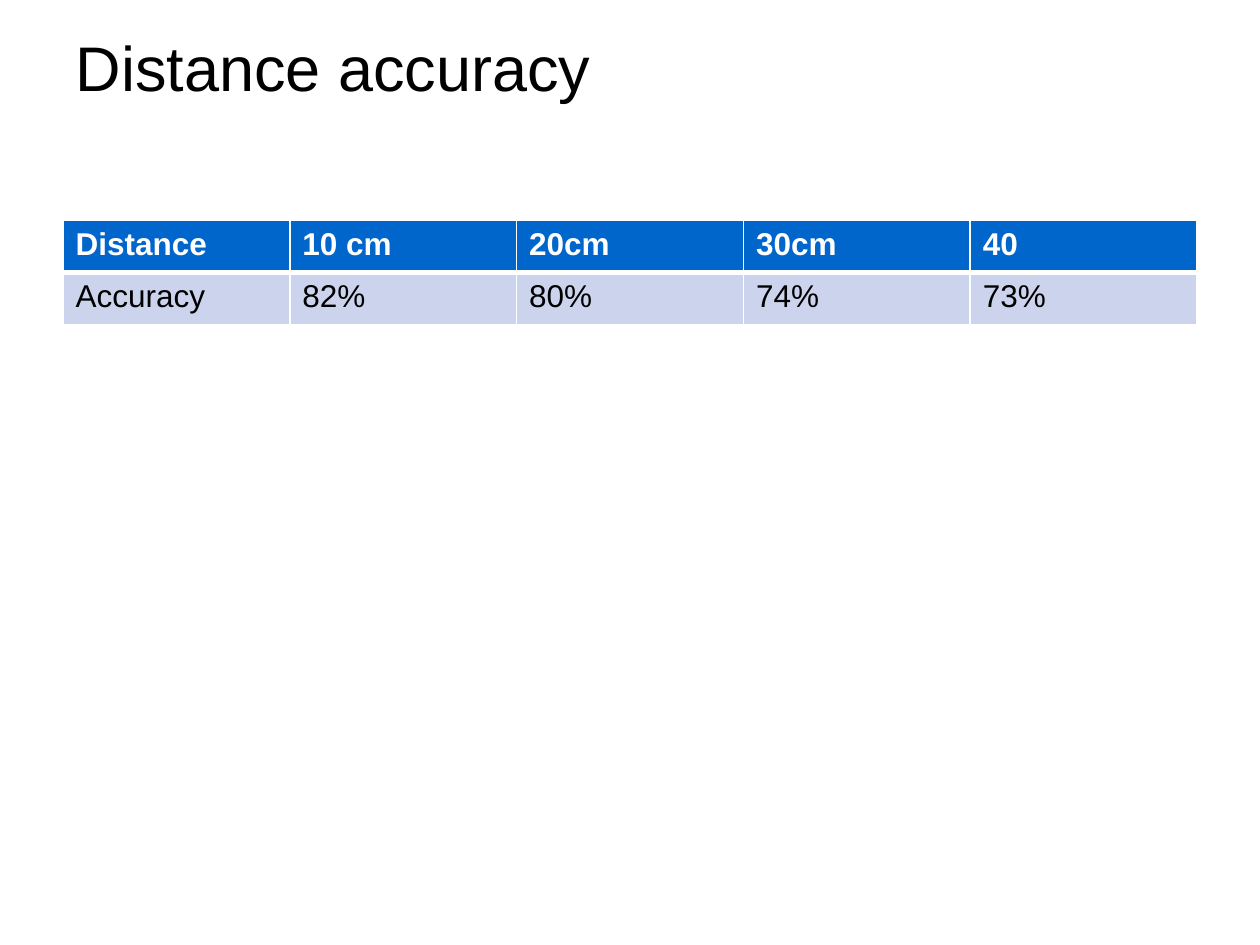
from dataclasses import dataclass

from lxml import etree
from pptx import Presentation
from pptx.dml.color import RGBColor
from pptx.enum.text import MSO_ANCHOR, MSO_AUTO_SIZE, PP_ALIGN
from pptx.oxml.ns import qn
from pptx.util import Inches, Pt

LEFT = PP_ALIGN.LEFT
TOP, MIDDLE = MSO_ANCHOR.TOP, MSO_ANCHOR.MIDDLE
NO_AUTOFIT = MSO_AUTO_SIZE.NONE
TITLE_ONLY = 5
SLIDE_WIDTH, SLIDE_HEIGHT = Inches(10), Inches(7.5)
MARGIN = SLIDE_WIDTH * 0.05
CONTENT_WIDTH = SLIDE_WIDTH - 2 * MARGIN
ROW_HEIGHT = Inches(0.415)
WHITE, BLACK = "FFFFFF", "000000"


@dataclass(frozen=True)
class TableRow:
    values: tuple[str, ...]
    fill: str
    color: str
    bold: bool
    top_border: float
    bottom_border: float


ROWS = (
    TableRow(("Distance", "10 cm", "20cm", "30cm", "40"), "0066CC", WHITE, True, 1, 3),
    TableRow(("Accuracy", "82%", "80%", "74%", "73%"), "CCD3EC", BLACK, False, 3, 1),
)


def rgb(value: str) -> RGBColor:
    return RGBColor.from_string(value)


def write_text(text_frame, text: str, *, size: float, color: str, bold: bool = False) -> None:
    text_frame.text = text
    paragraph = text_frame.paragraphs[0]
    paragraph.alignment = LEFT
    font = paragraph.runs[0].font
    font.name, font.size, font.bold = "Arial", Pt(size), bold
    font.color.rgb = rgb(color)


def add_border(cell, side: str, width: float) -> None:
    properties = cell._tc.get_or_add_tcPr()
    line = etree.SubElement(properties, qn(f"a:ln{side}"), w=str(Pt(width)))
    fill = etree.SubElement(line, qn("a:solidFill"))
    etree.SubElement(fill, qn("a:srgbClr"), val=WHITE)


def draw_title(slide, text: str) -> None:
    title = slide.shapes.title
    title.left, title.top = int(MARGIN), int(SLIDE_HEIGHT * 0.028)
    title.width, title.height = int(CONTENT_WIDTH), int(SLIDE_HEIGHT * 0.085)
    title.text_frame.auto_size = NO_AUTOFIT
    title.text_frame.vertical_anchor = MIDDLE
    write_text(title.text_frame, text, size=36, color=BLACK)


def draw_table(slide, rows: tuple[TableRow, ...]) -> None:
    column_count = len(rows[0].values)
    table = slide.shapes.add_table(
        len(rows), column_count, int(MARGIN), Inches(1.75),
        int(CONTENT_WIDTH), ROW_HEIGHT * len(rows),
    ).table
    for row_index, row in enumerate(rows):
        table.rows[row_index].height = ROW_HEIGHT
        borders = {"L": 1, "R": 1, "T": row.top_border, "B": row.bottom_border}
        for column_index, value in enumerate(row.values):
            cell = table.cell(row_index, column_index)
            for side, width in borders.items():
                add_border(cell, side, width)
            cell.fill.solid()
            cell.fill.fore_color.rgb = rgb(row.fill)
            cell.vertical_anchor = TOP
            write_text(cell.text_frame, value, size=18, color=row.color, bold=row.bold)


def main() -> None:
    """Build the distance accuracy slide and save it."""
    presentation = Presentation()
    presentation.slide_width, presentation.slide_height = SLIDE_WIDTH, SLIDE_HEIGHT
    slide = presentation.slides.add_slide(presentation.slide_layouts[TITLE_ONLY])
    slide.background.fill.solid()
    slide.background.fill.fore_color.rgb = rgb(WHITE)
    draw_title(slide, "Distance accuracy")
    draw_table(slide, ROWS)
    presentation.save("out.pptx")


if __name__ == "__main__":
    main()
